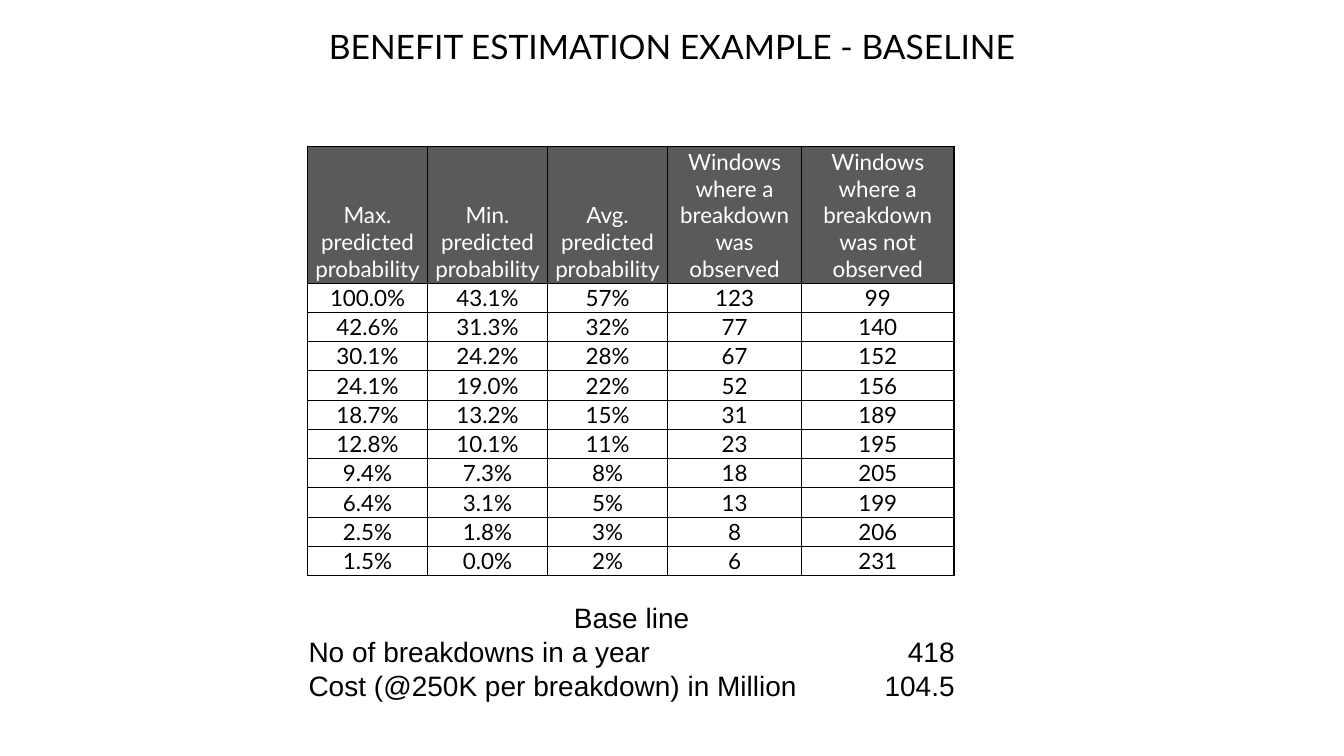
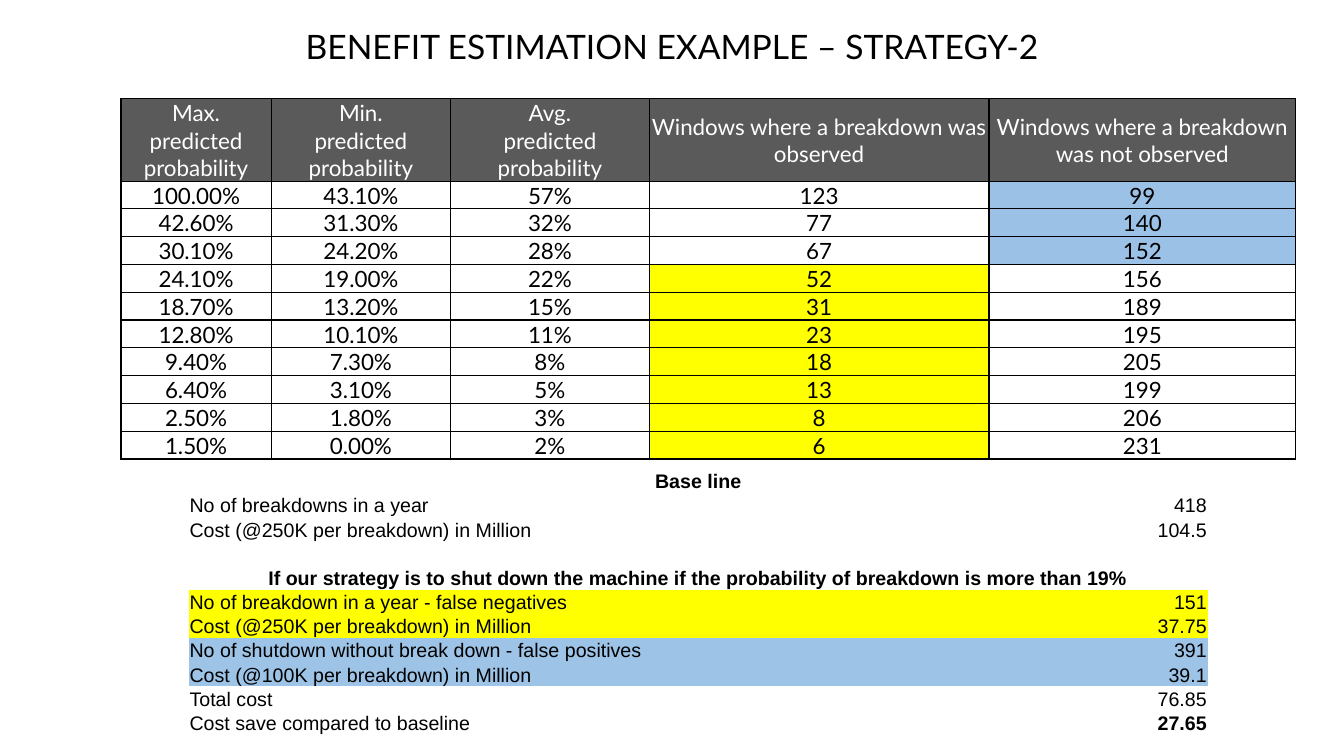
from pptx import Presentation
from pptx.dml.color import RGBColor
from pptx.enum.text import MSO_ANCHOR, MSO_AUTO_SIZE, PP_ALIGN
from pptx.oxml.ns import qn
from pptx.util import Inches, Pt
from lxml import etree

LEFT, CENTER, RIGHT = PP_ALIGN.LEFT, PP_ALIGN.CENTER, PP_ALIGN.RIGHT
MIDDLE, BOTTOM = MSO_ANCHOR.MIDDLE, MSO_ANCHOR.BOTTOM
NO_AUTOFIT = MSO_AUTO_SIZE.NONE
TITLE_ONLY = 5
PLAIN_TABLE = "{2D5ABB26-0587-4C30-8999-92F81FD0307C}"
COLORS = {"ink": "000000", "paper": "FFFFFF", "header": "5A5A5A",
          "missed": "FFFF00", "alarm": "9BC2E6", "alarm_cost": "9DC3E6"}

PROBABILITIES = ["Max.", "Min.", "Avg."]
WINDOWS = ["Windows where a breakdown was observed",
           "Windows where a breakdown was not observed"]
DECILES = [
    (100.0, 43.1, 57, 123, 99),
    (42.6, 31.3, 32, 77, 140),
    (30.1, 24.2, 28, 67, 152),
    (24.1, 19.0, 22, 52, 156),
    (18.7, 13.2, 15, 31, 189),
    (12.8, 10.1, 11, 23, 195),
    (9.4, 7.3, 8, 18, 205),
    (6.4, 3.1, 5, 13, 199),
    (2.5, 1.8, 3, 8, 206),
    (1.5, 0.0, 2, 6, 231),
]
BASELINE = [
    ("Base line", None, None),
    ("No of breakdowns in a year", "418", None),
    ("Cost (@250K per breakdown) in Million", "104.5", None),
]
STRATEGY = [
    ("", "", None),
    ("If our strategy is to shut down the machine if the probability of "
     "breakdown is more than 19%", None, None),
    ("No of breakdown in a year - false negatives", "151", "missed"),
    ("Cost (@250K per breakdown) in Million", "37.75", "missed"),
    ("No of shutdown without break down - false positives", "391", "alarm_cost"),
    ("Cost (@100K per breakdown) in Million", "39.1", "alarm_cost"),
    ("Total cost", "76.85", None),
    ("Cost save compared to baseline", "27.65", None),
]
SHUTDOWN_ROWS = 3


class BenefitDeck:
    """Holds the deck style and current page; lengths are percents of the slide."""

    def __init__(self):
        self.deck = Presentation()
        self.deck.slide_width, self.deck.slide_height = Inches(13.33), Inches(7.5)
        self.page = None

    def across(self, percent):
        return int(self.deck.slide_width * percent / 100)

    def down(self, percent):
        return int(self.deck.slide_height * percent / 100)

    def style(self, para, size, font, color="ink", align=LEFT, bold=False):
        para.alignment = align
        para.font.size, para.font.name, para.font.bold = Pt(size), font, bold
        para.font.color.rgb = RGBColor.from_string(COLORS[color])

    def add_page(self, title):
        self.page = self.deck.slides.add_slide(self.deck.slide_layouts[TITLE_ONLY])
        box = self.page.shapes.title
        box.left, box.top = self.across(7.73), self.down(2.8)
        box.width, box.height = self.across(84.55), self.down(6.67)
        frame = box.text_frame
        frame.auto_size, frame.vertical_anchor = NO_AUTOFIT, MIDDLE
        frame.margin_left = frame.margin_right = Inches(0.05)
        frame.margin_top = frame.margin_bottom = Inches(0.05)
        frame.text = title
        self.style(frame.paragraphs[0], 24, "Lato", align=CENTER)

    def add_grid(self, left, top, widths, heights):
        frame = self.page.shapes.add_table(
            len(heights), len(widths), self.across(left), self.down(top),
            self.across(sum(widths)), self.down(sum(heights)))
        table = frame.table
        table.first_row = table.horz_banding = False
        table._tbl.tblPr.find(qn("a:tableStyleId")).text = PLAIN_TABLE
        for column, width in zip(table.columns, widths):
            column.width = self.across(width)
        for row, height in zip(table.rows, heights):
            row.height = self.down(height)
        return table

    def fill_cell(self, cell, text, size, font, fill=None, sides="",
                  anchor=MIDDLE, foot=0, **look):
        cell.vertical_anchor = anchor
        cell.margin_left = cell.margin_right = cell.margin_top = Inches(0.01)
        cell.margin_bottom = Inches(foot)
        for side in sides:
            line = etree.SubElement(cell._tc.get_or_add_tcPr(),
                                    qn(f"a:ln{side}"), w=str(Pt(1)))
            solid = etree.SubElement(line, qn("a:solidFill"))
            etree.SubElement(solid, qn("a:srgbClr"), val=COLORS["ink"])
        if fill:
            cell.fill.solid()
            cell.fill.fore_color.rgb = RGBColor.from_string(COLORS[fill])
        else:
            cell.fill.background()
        para = cell.text_frame.paragraphs[0]
        if text:
            para.text = text
        else:
            para._p.get_or_add_endParaRPr().set("sz", str(size * 100))
        self.style(para, size, font, **look)

    def add_deciles(self, left, top, widths, headers, header_heights, row_height,
                    digits, header_anchor=MIDDLE, foot=0, marked=False):
        table = self.add_grid(left, top, widths,
                              header_heights + [row_height] * len(DECILES))
        last = len(headers) - 1
        for r, labels in enumerate(headers):
            for c, label in enumerate(labels):
                sides = "LR" + ("T" if r == 0 else "") + ("B" if r == last else "")
                self.fill_cell(table.cell(r, c), label, 16, "Lato", "header", sides,
                               header_anchor, foot, color="paper", align=CENTER)
        if last:
            for c in range(len(PROBABILITIES), len(widths)):
                table.cell(0, c).merge(table.cell(last, c))
        for r, (high, low, mean, seen, unseen) in enumerate(DECILES):
            texts = [f"{high:.{digits}f}%", f"{low:.{digits}f}%", f"{mean}%",
                     str(seen), str(unseen)]
            fills = [None] * len(texts)
            if marked and r < SHUTDOWN_ROWS:
                fills[4] = "alarm"
            elif marked:
                fills[3] = "missed"
            for c, (text, fill) in enumerate(zip(texts, fills)):
                self.fill_cell(table.cell(r + last + 1, c), text, 16, "Lato", fill,
                               "LRTB", foot=foot, align=CENTER)

    def add_summary(self, left, top, widths, row_height, size, rows,
                    bold_heading=False, bold_result=False):
        table = self.add_grid(left, top, widths, [row_height] * len(rows))
        for r, (label, value, fill) in enumerate(rows):
            heading = value is None
            result = bold_result and r == len(rows) - 1
            label_cell, value_cell = table.cell(r, 0), table.cell(r, 1)
            self.fill_cell(label_cell, label, size, "Arial", fill, anchor=BOTTOM,
                           align=CENTER if heading else LEFT,
                           bold=heading and bold_heading)
            self.fill_cell(value_cell, value, size, "Arial", fill, anchor=BOTTOM,
                           align=RIGHT, bold=result)
            if heading:
                label_cell.merge(value_cell)


def main():
    deck = BenefitDeck()

    deck.add_page("BENEFIT ESTIMATION EXAMPLE - BASELINE")
    one_row = [f"{name}\vpredicted probability" for name in PROBABILITIES] + WINDOWS
    deck.add_deciles(22.88, 19.33, [8.93, 8.93, 8.93, 9.98, 11.33], [one_row],
                     [18.13], 3.87, digits=1, header_anchor=BOTTOM, foot=0.01)
    deck.add_summary(22.88, 79.33, [37.28, 10.95], 4.53, 20, BASELINE)

    deck.add_page("BENEFIT ESTIMATION EXAMPLE – STRATEGY-2")
    two_rows = [PROBABILITIES + WINDOWS,
                ["predicted probability"] * len(PROBABILITIES) + [""] * len(WINDOWS)]
    deck.add_deciles(9, 13.07, [11.18, 13.35, 14.78, 25.28, 22.81], two_rows,
                     [3.65, 7.2], 3.65, digits=2, marked=True)
    deck.add_summary(14.03, 62, [67.59, 8.25], 3.2, 14, BASELINE + STRATEGY,
                     bold_heading=True, bold_result=True)

    deck.deck.save("out.pptx")


if __name__ == "__main__":
    main()
